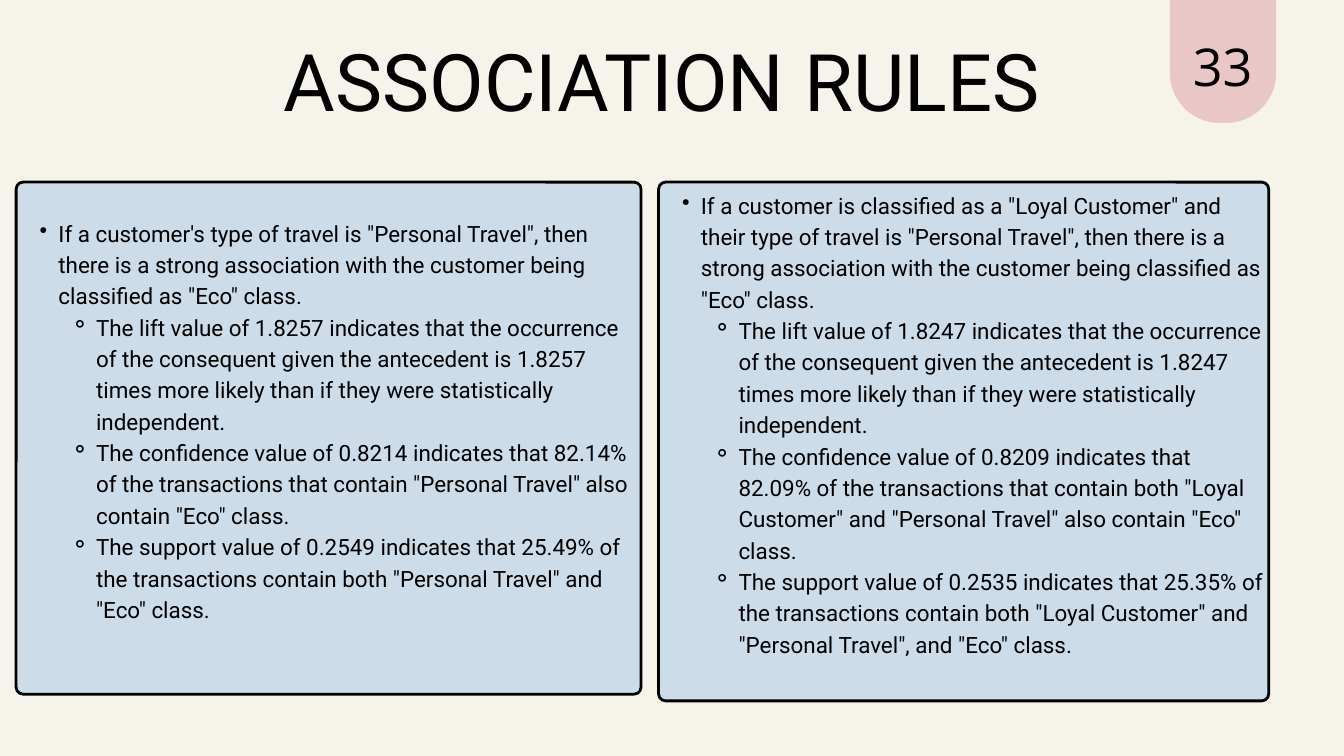
"""Build the association rules slide with two panels of findings."""
from dataclasses import dataclass
from typing import Any

from lxml import etree
from pptx import Presentation
from pptx import util as u
from pptx.dml.color import RGBColor
from pptx.enum import shapes, text
from pptx.oxml import ns

COLUMNS, ROWS = 200, 112.5
WIDTH, HEIGHT = u.Inches(20), u.Inches(11.25)


@dataclass(frozen=True)
class Theme:
    background: RGBColor = RGBColor(0xF6, 0xF3, 0xEB)
    panel: RGBColor = RGBColor(0xCD, 0xDC, 0xE9)
    tab: RGBColor = RGBColor(0xE9, 0xC7, 0xC6)
    ink: RGBColor = RGBColor(0, 0, 0)
    font: str = "Roboto"
    number_font: str = "Open Sans"
    title_size: float = 85
    body_size: float = 24
    number_size: float = 55.8
    title_spacing: float = 119
    body_spacing: float = 33.6
    number_spacing: float = 78
    border: float = 3


@dataclass(frozen=True)
class Area:
    column: float
    row: float
    columns: float
    rows: float

    def place(self) -> tuple[int, int, int, int]:
        return (across(self.column), down(self.row), across(self.columns), down(self.rows))


@dataclass(frozen=True)
class Bullet:
    level: int
    character: str
    margin: float
    hanging: float


@dataclass(frozen=True)
class Panel:
    area: Area
    rule: str
    measures: tuple[str, ...]


THEME = Theme()
RULE = Bullet(1, "•", 5.7, 2.8)
MEASURE = Bullet(2, "⚬", 11.3, 3.8)
CORNER = 1.05
LIFT = ("The lift value of {0} indicates that the occurrence of the consequent given the antecedent "
        "is {0} times more likely than if they were statistically independent.")
PANELS = (
    Panel(
        Area(98, 27.1, 90.8, 77.2),
        'If a customer is classified as a "Loyal Customer" and their type of travel is "Personal Travel", '
        'then there is a strong association with the customer being classified as "Eco" class.',
        (LIFT.format("1.8247"),
         'The confidence value of 0.8209 indicates that 82.09% of the transactions that contain both '
         '"Loyal Customer" and "Personal Travel" also contain "Eco" class.',
         'The support value of 0.2535 indicates that 25.35% of the transactions contain both '
         '"Loyal Customer" and "Personal Travel", and "Eco" class.'),
    ),
    Panel(
        Area(2.4, 27.1, 93, 76.2),
        'If a customer\'s type of travel is "Personal Travel", then there is a strong association '
        'with the customer being classified as "Eco" class.',
        (LIFT.format("1.8257"),
         'The confidence value of 0.8214 indicates that 82.14% of the transactions that contain '
         '"Personal Travel" also contain "Eco" class.',
         'The support value of 0.2549 indicates that 25.49% of the transactions contain both '
         '"Personal Travel" and "Eco" class.'),
    ),
)


def across(columns: float) -> int:
    return round(WIDTH * columns / COLUMNS)


def down(rows: float) -> int:
    return round(HEIGHT * rows / ROWS)


def apply(target: Any, values: dict[str, Any]) -> None:
    for name, value in values.items():
        setattr(target, name, value)


def format_frame(frame: Any, inset: int = 0, **values: Any) -> None:
    margins = dict.fromkeys(("margin_left", "margin_top", "margin_right", "margin_bottom"), inset)
    apply(frame, {"word_wrap": True, "vertical_anchor": text.MSO_ANCHOR.TOP, **margins, **values})


def write(paragraph: Any, words: str, font: str, size: float, spacing: float) -> None:
    paragraph.line_spacing = u.Pt(spacing)
    run = paragraph.add_run()
    run.text = words
    apply(run.font, {"name": font, "size": u.Pt(size), "bold": False})
    run.font.color.rgb = THEME.ink


def add_bullet(paragraph: Any, bullet: Bullet) -> None:
    paragraph.level = bullet.level
    properties = paragraph._p.get_or_add_pPr()
    properties.set("marL", str(across(bullet.margin)))
    properties.set("indent", str(-across(bullet.hanging)))
    etree.SubElement(properties, ns.qn("a:buChar")).set("char", bullet.character)


def draw_shape(slide: Any, kind: Any, area: Area, fill: RGBColor, adjustments: tuple[float, ...]) -> Any:
    shape = slide.shapes.add_shape(kind, *area.place())
    shape.shadow.inherit = False
    shape.fill.solid()
    shape.fill.fore_color.rgb = fill
    shape.line.fill.background()
    for index, value in enumerate(adjustments):
        shape.adjustments[index] = value
    return shape


def draw_heading(shape: Any, area: Area, words: str, font: str, size: float, spacing: float) -> None:
    apply(shape, dict(zip(("left", "top", "width", "height"), area.place())))
    format_frame(shape.text_frame, auto_size=text.MSO_AUTO_SIZE.SHAPE_TO_FIT_TEXT)
    paragraph = shape.text_frame.paragraphs[0]
    paragraph.alignment = text.PP_ALIGN.CENTER
    write(paragraph, words, font, size, spacing)


def draw_panel(slide: Any, panel: Panel) -> None:
    area = panel.area
    shape = draw_shape(slide, shapes.MSO_SHAPE.ROUNDED_RECTANGLE, area, THEME.panel, (CORNER / area.rows,))
    shape.line.color.rgb = THEME.ink
    shape.line.width = u.Pt(THEME.border)
    text_area = Area(area.column, area.row - 0.9, area.columns, area.rows + 0.8)
    frame = slide.shapes.add_textbox(*text_area.place()).text_frame
    inset = down(0.6)
    format_frame(frame, inset, vertical_anchor=text.MSO_ANCHOR.MIDDLE,
                 margin_bottom=inset + u.Pt(THEME.body_spacing))
    items = [(panel.rule, RULE), *((measure, MEASURE) for measure in panel.measures)]
    for index, (words, bullet) in enumerate(items):
        paragraph = frame.add_paragraph() if index else frame.paragraphs[0]
        paragraph.line_spacing = u.Pt(THEME.body_spacing)
        add_bullet(paragraph, bullet)
        write(paragraph, words, THEME.font, THEME.body_size, THEME.body_spacing)


def main() -> None:
    presentation = Presentation()
    apply(presentation, {"slide_width": WIDTH, "slide_height": HEIGHT})
    slide = presentation.slides.add_slide(presentation.slide_layouts.get_by_name("Title Only"))
    slide.background.fill.solid()
    slide.background.fill.fore_color.rgb = THEME.background
    draw_heading(slide.shapes.title, Area(27.9, 2.4, 144.1, 15.9), "ASSOCIATION RULES ",
                 THEME.font, THEME.title_size, THEME.title_spacing)
    for panel in PANELS:
        draw_panel(slide, panel)
    draw_shape(slide, shapes.MSO_SHAPE.ROUND_2_SAME_RECTANGLE, Area(174.1, 0, 15.8, 18.3),
               THEME.tab, (0, 0.47))
    number = Area(173.4, 3.6, 17.1, 10.2)
    draw_heading(slide.shapes.add_textbox(*number.place()), number, "33",
                 THEME.number_font, THEME.number_size, THEME.number_spacing)
    presentation.save("out.pptx")


if __name__ == "__main__":
    main()
